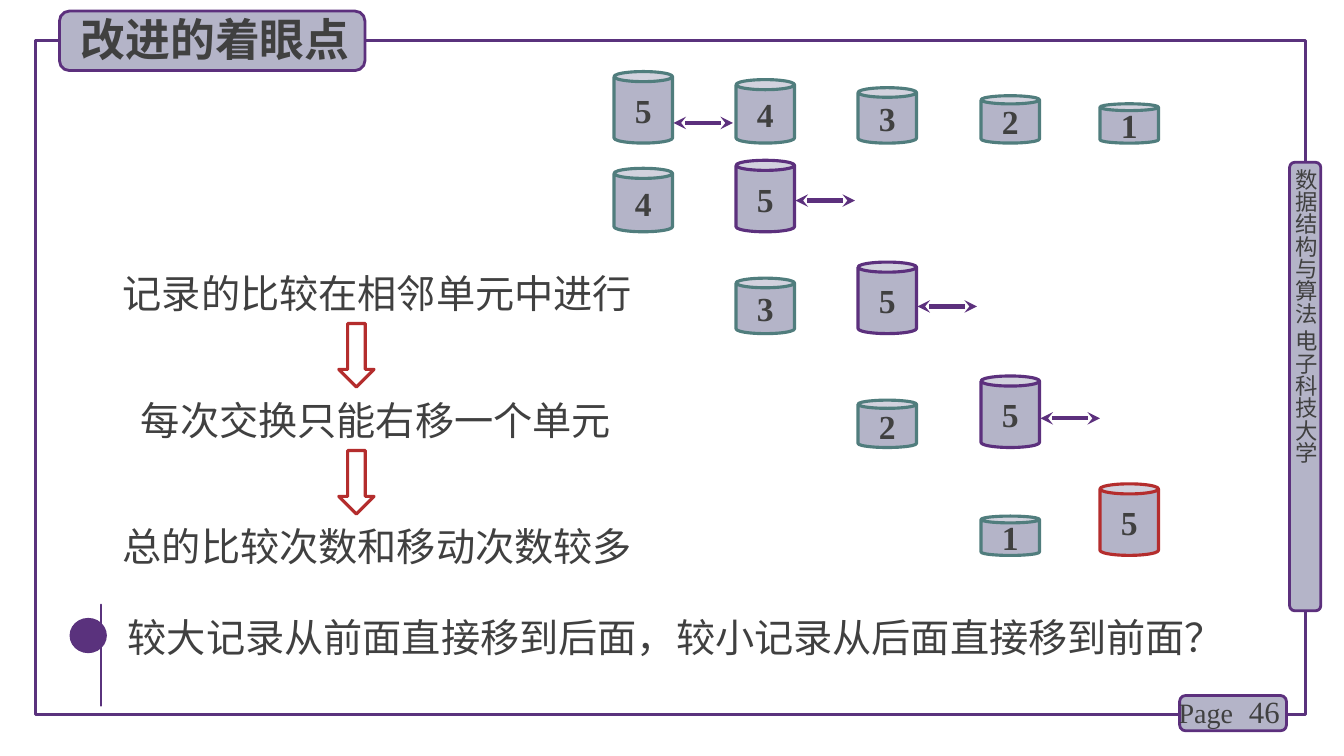
from math import cos, radians, sin

from lxml import etree
from pptx import Presentation, util as u
from pptx.dml.color import RGBColor
from pptx.enum import shapes as sh, text as tx
from pptx.oxml import ns

CJK, ROMAN = "Noto Sans CJK SC", "Times New Roman"
INK, GREY, WHITE = "404040", "B4B4C8", "FFFFFF"
FRAME, VIOLET, TEAL, RED = "5A327D", "5C307D", "507D7D", "B42D2D"
KIND = sh.MSO_SHAPE
LEFT, MID, RIGHT = tx.PP_ALIGN.LEFT, tx.PP_ALIGN.CENTER, tx.PP_ALIGN.RIGHT


def color(code):
    return RGBColor.from_string(code)


def box(left, top, width, height):
    return [u.Inches(n) for n in (left, top, width, height)]


class Page:
    """Holds the current slide and draws each kind of element in its style."""

    def __init__(self, slide):
        self.slide = slide
        self.shapes = slide.shapes

    def paint(self, shape, fill, line, width):
        shape.shadow.inherit = False
        if fill:
            shape.fill.solid()
            shape.fill.fore_color.rgb = color(fill)
        else:
            shape.fill.background()
        if line:
            shape.line.color.rgb = color(line)
            shape.line.width = u.Pt(width)
        else:
            shape.line.fill.background()
        return shape

    def shape(self, kind, at, fill=None, line=None, width=2.25):
        return self.paint(self.shapes.add_shape(kind, *box(*at)), fill, line, width)

    def label(self, frame, words, size, font=CJK, bold=False, align=LEFT):
        para = frame.paragraphs[0]
        para.alignment = align
        run = para.add_run()
        run.text = words
        run.font.size = u.Pt(size)
        run.font.bold = bold
        run.font.color.rgb = color(INK)
        run.font.name = font
        props = run._r.get_or_add_rPr()
        etree.SubElement(props, ns.qn("a:ea")).set("typeface", font)

    def text(self, at, words, size, font=CJK, align=LEFT):
        frame = self.shapes.add_textbox(*box(*at)).text_frame
        frame.word_wrap = True
        self.label(frame, words, size, font, align=align)
        return frame

    def title(self, at, words):
        """Place the title in front of everything drawn so far."""
        title = self.shapes.title
        title.left, title.top, title.width, title.height = box(*at)
        frame = title.text_frame
        frame.vertical_anchor = tx.MSO_ANCHOR.TOP
        frame.auto_size = tx.MSO_AUTO_SIZE.NONE
        self.label(frame, words, 32, bold=True)
        title._element.getparent().append(title._element)

    def can(self, left, base, value, line):
        """Draw a record whose height grows with its value."""
        tall = 0.39 + 0.08 * (value - 1)
        can = self.shape(KIND.CAN, (left, base - tall, 0.58, tall), GREY, line)
        can.adjustments[0] = 0.173
        frame = can.text_frame
        frame.word_wrap = False
        frame.vertical_anchor = tx.MSO_ANCHOR.MIDDLE
        self.label(frame, str(value), 24, ROMAN, True, MID)

    def swap(self, left, y):
        """Draw a double-headed arrow between neighbours."""
        x, y, end = (u.Inches(n) for n in (left, y, left + 0.59))
        arrow = self.shapes.add_connector(sh.MSO_CONNECTOR.STRAIGHT, x, y, end, y)
        arrow.line.color.rgb = color(VIOLET)
        arrow.line.width = u.Pt(3)
        line = arrow.line._get_or_add_ln()
        for tag in ("a:headEnd", "a:tailEnd"):
            etree.SubElement(line, ns.qn(tag)).set("type", "stealth")
        etree.SubElement(arrow._element.spPr, ns.qn("a:effectLst"))

    def free(self, dots, fill=None, line=None, width=2):
        pen = self.shapes.build_freeform(*dots[0], scale=u.Inches(1))
        pen.add_line_segments(dots[1:], close=bool(fill))
        self.paint(pen.convert_to_shape(), fill, line, width)

    def clock(self, x):
        """Draw an alarm clock centred on x."""
        legs = [(-0.14, 6.55), (-0.1, 6.5), (0.1, 6.5), (0.14, 6.55)]
        self.free([(x + dx, y) for dx, y in legs], line=FRAME, width=1.75)
        for side in (-1, 1):
            turns = [radians(a) for a in range(135, 334, 11)]
            bell = [(x + side * (0.16 - 0.08 * cos(a)), 6.17 + 0.08 * sin(a))
                    for a in turns]
            self.free(bell, FRAME)
        self.shape(KIND.OVAL, (x - 0.19, 6.13, 0.37, 0.35), FRAME)
        self.free([(x, 6.18), (x, 6.3), (x + 0.07, 6.3)], line=WHITE)


def main():
    deck = Presentation()
    deck.slide_width, deck.slide_height = u.Inches(13.33), u.Inches(7.5)
    page = Page(deck.slides.add_slide(deck.slide_layouts[5]))

    page.shape(KIND.RECTANGLE, (0.35, 0.4, 12.6, 6.69), None, FRAME)
    tabs = [(12.79, 1.61, 0.31, 4.45), (11.7, 6.9, 1.06, 0.35), (0.59, 0.11, 3.03, 0.59)]
    for tab in tabs:
        page.shape(KIND.ROUNDED_RECTANGLE, tab, GREY, VIOLET, 2)
    side = page.text((12.82, 1.67, 0.27, 4.49), "数据结构与算法 电子科技大学", 16)
    side.margin_left = side.margin_right = side.margin_top = side.margin_bottom = 0
    side._txBody.bodyPr.set("vert", "eaVert")
    number = page.text((11.87, 6.86, 0.92, 0.4), "46", 22, ROMAN, RIGHT)
    number.vertical_anchor = tx.MSO_ANCHOR.MIDDLE
    page.text((11.59, 6.85, 1.28, 0.44), "Page", 20, ROMAN)
    page.title((0.7, 0.07, 2.99, 0.64), "改进的着眼点")

    cols = [6.09, 7.3, 8.51, 9.73, 10.91]
    bases = [1.42, 2.3, 3.31, 4.44, 5.51]
    swaps = [1.22, 1.99, 3.04, 4.15]
    top = len(cols)
    for i, left in enumerate(cols):
        page.can(left, bases[0], top - i, TEAL)
    for i in range(1, top):
        page.can(cols[i - 1], bases[i], top - i, TEAL)
        page.can(cols[i], bases[i], top, RED if i == top - 1 else VIOLET)
    for left, y in zip(cols, swaps):
        page.swap(left + 0.59, y)

    steps = [(1.12, 2.62, "记录的比较在相邻单元中进行"),
             (1.3, 3.88, "每次交换只能右移一个单元"),
             (1.12, 5.13, "总的比较次数和移动次数较多")]
    for left, y, words in steps:
        page.text((left, y, 5.45, 0.57), words, 28)
    for y in (3.35, 4.61):
        arrow = page.shape(KIND.RIGHT_ARROW, (3.22, y, 0.63, 0.35), None, RED)
        arrow.rotation = 90
    page.text((1.17, 6.04, 11.27, 0.57),
              "较大记录从前面直接移到后面，较小记录从后面直接移到前面？", 28)
    page.clock(0.88)
    deck.save("out.pptx")


if __name__ == "__main__":
    main()
